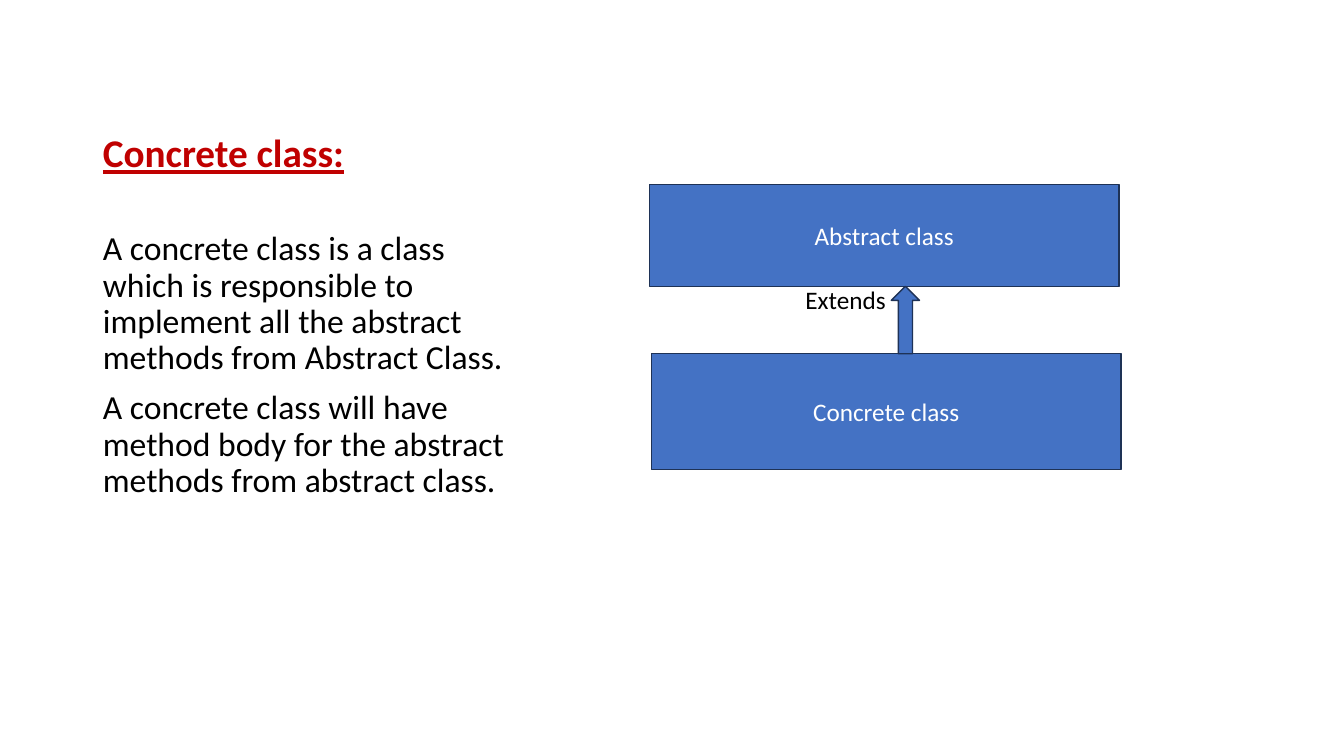
from pptx import Presentation
from pptx.dml.color import RGBColor
from pptx.enum import shapes, text
from pptx.util import Inches, Pt


def color(value):
    """Turn a hex string into a colour."""
    return RGBColor.from_string(value)


def place(sp, x, y, w, h):
    """Move and size a shape in inches."""
    sp.left, sp.top, sp.width, sp.height = map(Inches, (x, y, w, h))


def add_run(p, words, size, hex_color, bold=False, underline=False):
    """Add one formatted run to a paragraph."""
    r = p.add_run()
    r.text = words
    r.font.name = "Calibri"
    r.font.size = Pt(size)
    r.font.bold = bold
    r.font.underline = underline
    r.font.color.rgb = color(hex_color)


def fill_placeholder(sp, box, anchor, paragraphs, before=0, **style):
    """Place a placeholder and write its left-aligned paragraphs."""
    place(sp, *box)
    tf = sp.text_frame
    tf.word_wrap = True
    tf.auto_size = text.MSO_AUTO_SIZE.NONE
    tf.vertical_anchor = anchor
    for i, words in enumerate(paragraphs):
        p = tf.add_paragraph() if i else tf.paragraphs[0]
        p.alignment = text.PP_ALIGN.LEFT
        p.line_spacing = 0.9
        p.space_before = Pt(before)
        add_run(p, words, **style)


def add_block(s, kind, box, label=None):
    """Add a blue outlined shape with an optional centred label."""
    sp = s.shapes.add_shape(kind, *map(Inches, box))
    sp.shadow.inherit = False
    sp.fill.solid()
    sp.fill.fore_color.rgb = color("4472C4")
    sp.line.color.rgb = color("1E3256")
    sp.line.width = Pt(1)
    if label:
        sp.text_frame.vertical_anchor = text.MSO_ANCHOR.MIDDLE
        p = sp.text_frame.paragraphs[0]
        p.alignment = text.PP_ALIGN.CENTER
        add_run(p, label, 18, "FFFFFF")


def add_label(s, box, words):
    """Add a small black text label."""
    tf = s.shapes.add_textbox(*map(Inches, box)).text_frame
    tf.word_wrap = True
    tf.auto_size = text.MSO_AUTO_SIZE.SHAPE_TO_FIT_TEXT
    add_run(tf.paragraphs[0], words, 18, "000000")


def main():
    """Build the concrete class slide."""
    prs = Presentation()
    prs.slide_width, prs.slide_height = Inches(13.33), Inches(7.5)
    s = prs.slides.add_slide(prs.slide_layouts.get_by_name("Content with Caption"))
    unused = s.placeholders[1].element
    unused.getparent().remove(unused)

    title = s.shapes.title
    fill_placeholder(title, (0.92, 0.5, 4.3, 1.75), text.MSO_ANCHOR.BOTTOM,
                     ["Concrete class:"], size=28, hex_color="C00000",
                     bold=True, underline=True)
    title.text_frame.margin_bottom = Inches(0.5)
    fill_placeholder(s.placeholders[2], (0.92, 2.25, 4.3, 4.17), text.MSO_ANCHOR.TOP, [
        "A concrete class is a class which is responsible to implement "
        "all the abstract methods from Abstract Class.",
        "A concrete class will have method body for the abstract "
        "methods from abstract class.",
    ], before=10, size=24, hex_color="000000")

    kinds = shapes.MSO_SHAPE
    add_block(s, kinds.RECTANGLE, (6.44, 1.83, 4.66, 1.01), "Abstract class")
    add_block(s, kinds.RECTANGLE, (6.46, 3.51, 4.66, 1.15), "Concrete class")
    add_block(s, kinds.UP_ARROW, (8.84, 2.84, 0.28, 0.67))
    add_label(s, (7.89, 2.77, 1, 0.4), "Extends")
    prs.save("out.pptx")


if __name__ == "__main__":
    main()
